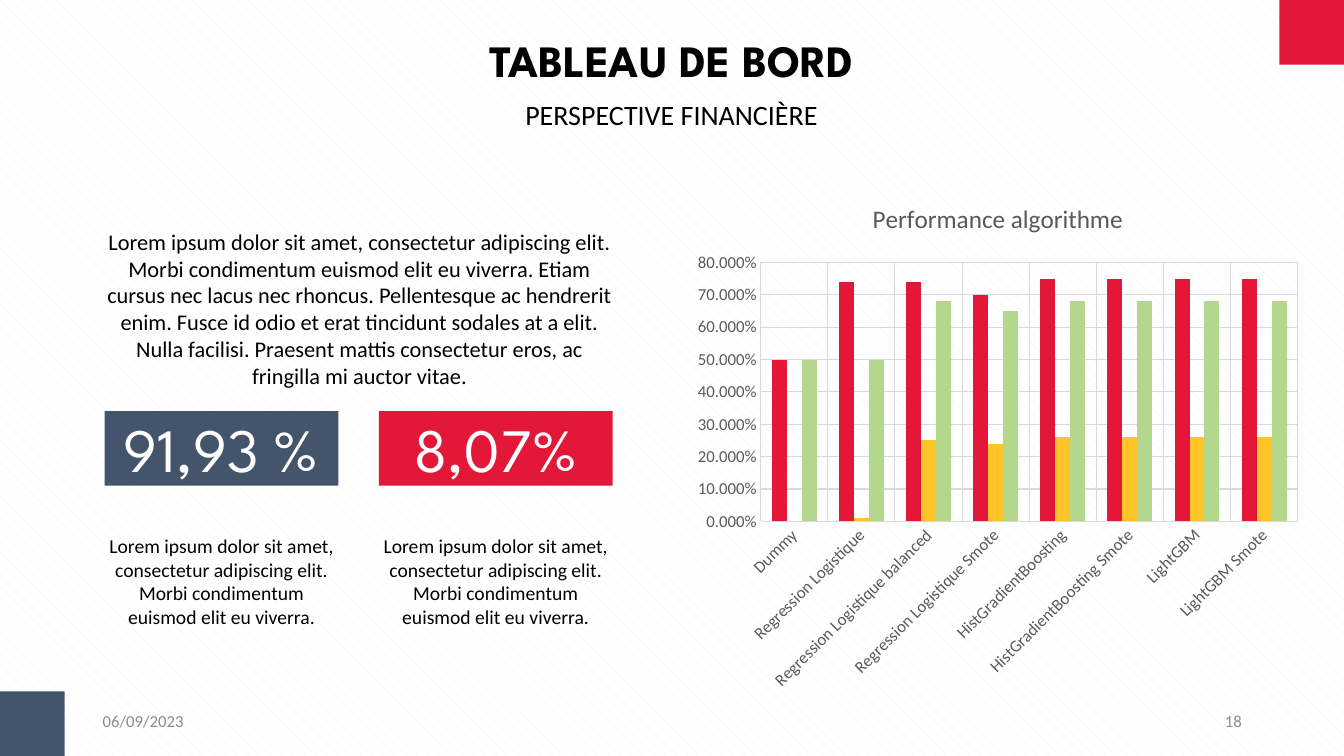
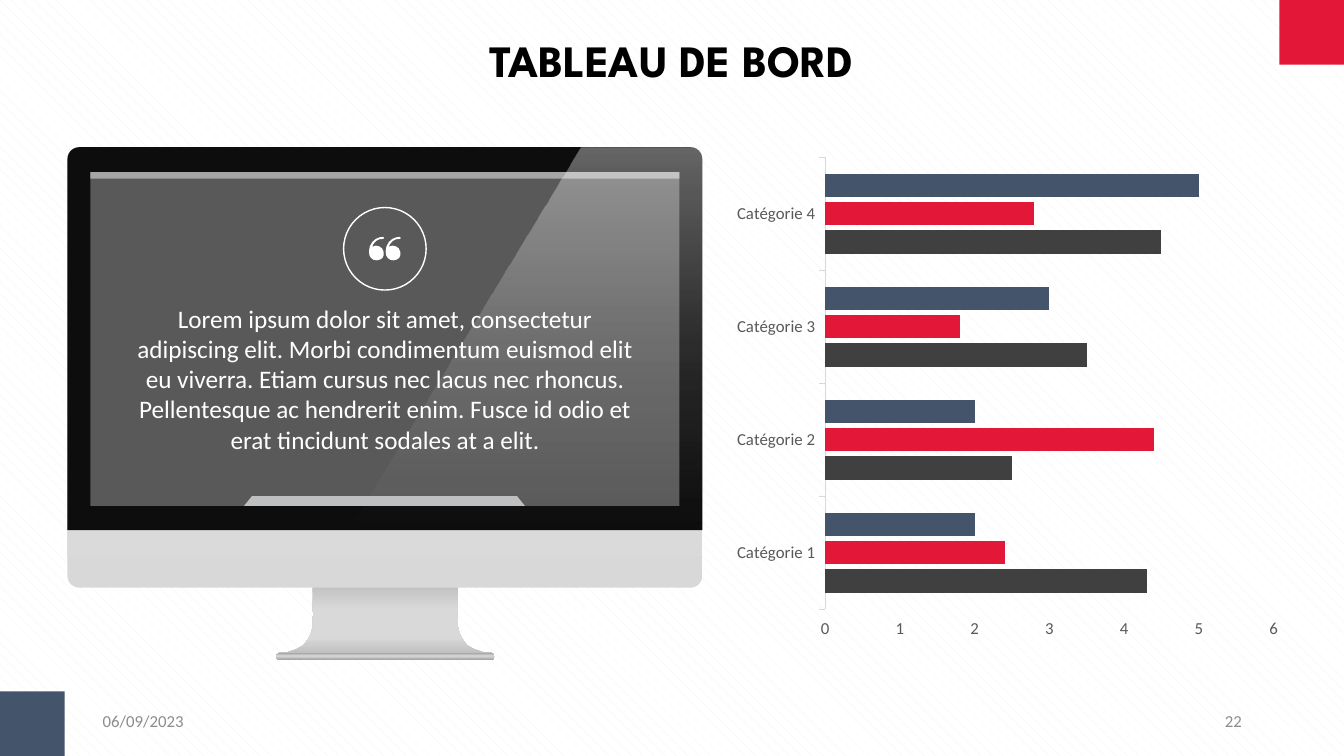
from dataclasses import dataclass
from math import cos, pi, sin
from typing import NamedTuple, Optional, Sequence

from lxml.etree import SubElement
from pptx import Presentation
from pptx.chart.chart import Chart
from pptx.chart.data import CategoryChartData
from pptx.dml.color import RGBColor
from pptx.enum.chart import XL_CHART_TYPE, XL_TICK_MARK
from pptx.enum.dml import MSO_PATTERN
from pptx.enum.shapes import MSO_SHAPE
from pptx.enum.text import MSO_ANCHOR, MSO_AUTO_SIZE, PP_ALIGN
from pptx.oxml.ns import qn
from pptx.shapes.autoshape import Shape
from pptx.slide import Slide
from pptx.util import Cm, Pt


@dataclass(frozen=True)
class Theme:
    heading_font: str = "League Spartan"
    body_font: str = "Calibri"
    red: str = "E31737"
    navy: str = "44546A"
    amber: str = "FFC427"
    green: str = "B4D78E"
    charcoal: str = "404040"
    black: str = "000000"
    white: str = "FFFFFF"
    hatch: str = "F2F2F2"
    footer: str = "8C8C8C"
    axis_text: str = "595959"
    rule: str = "D9D9D9"
    bezel: str = "0D0D0D"
    screen: str = "595959"
    menu_bar: str = "A6A6A6"
    dock: str = "BDBFC1"
    title_size: int = 32
    subtitle_size: int = 20
    figure_size: int = 44
    quote_size: int = 18
    intro_size: int = 16
    caption_size: int = 14
    small_size: int = 12


THEME = Theme()


class Box(NamedTuple):
    """Left, top, width and height in centimetres."""
    left: float
    top: float
    width: float
    height: float

    def lengths(self) -> tuple[Cm, ...]:
        return tuple(Cm(side) for side in self)


class Style(NamedTuple):
    size: int
    color: str = THEME.black
    font: str = THEME.body_font
    bold: bool = False
    align: PP_ALIGN = PP_ALIGN.CENTER
    anchor: MSO_ANCHOR = MSO_ANCHOR.TOP
    inset: float = 0


class Stop(NamedTuple):
    position: int
    color: str
    opacity: int = 100


class Indicator(NamedTuple):
    figure: str
    color: str
    caption: str


class Series(NamedTuple):
    name: str
    values: tuple[float, ...]
    color: str


Point = tuple[float, float]

WIDTH, HEIGHT, CORNER = 33.87, 19.05, 1.63
DATE = "06/09/2023"
TITLE = "TABLEAU DE BORD"
TITLE_BOX = Box(4.06, 0.81, 25.73, 1.37)
SUBTITLE_BOX = Box(4.06, 2.46, 25.73, 0.86)
TITLE_STYLE = Style(THEME.title_size, font=THEME.heading_font, bold=True, anchor=MSO_ANCHOR.MIDDLE)

SHORT_LOREM = ("Lorem ipsum dolor sit amet, consectetur adipiscing elit. "
               "Morbi condimentum euismod elit eu viverra.")
QUOTE = (SHORT_LOREM + " Etiam cursus nec lacus nec rhoncus. Pellentesque ac hendrerit enim. "
         "Fusce id odio et erat tincidunt sodales at a elit.")
INTRO = QUOTE + " Nulla facilisi. Praesent mattis consectetur eros, ac fringilla mi auctor vitae."

INDICATORS = (Indicator("91,93 %", THEME.navy, SHORT_LOREM),
              Indicator("8,07%", THEME.red, SHORT_LOREM))

ALGORITHMS = ("Dummy", "Regression Logistique", "Regression Logistique balanced",
              "Regression Logistique Smote", "HistGradientBoosting",
              "HistGradientBoosting Smote", "LightGBM", "LightGBM Smote")
SCORES = (
    Series("Series 1", (0.5, 0.74, 0.74, 0.7, 0.75, 0.75, 0.75, 0.75), THEME.red),
    Series("Series 2", (0, 0.01, 0.25, 0.24, 0.26, 0.26, 0.26, 0.26), THEME.amber),
    Series("Series 3", (0.5, 0.5, 0.68, 0.65, 0.68, 0.68, 0.68, 0.68), THEME.green),
)
CATEGORIES = tuple(f"Catégorie {number}" for number in range(1, 5))
RESULTS = (
    Series("Series 1", (4.3, 2.5, 3.5, 4.5), THEME.charcoal),
    Series("Series 2", (2.4, 4.4, 1.8, 2.8), THEME.red),
    Series("Series 3", (2, 2, 3, 5), THEME.navy),
)

MONITOR = Box(1.7, 3.71, 16, 11.1)
MONITOR_RADIUS = 0.3
NECK_CENTER = 9.71
# Half width and height of each point down one side of the neck
NECK_PROFILE: tuple[Point, ...] = (
    (1.83, 14.73), (1.82, 15.5), (1.83, 15.8), (1.88, 15.98), (1.93, 16.08),
    (2.06, 16.26), (2.24, 16.36), (2.44, 16.43), (2.72, 16.46))
QUOTE_MARK: tuple[Point, ...] = (
    (0.36, 0.05), (0.38, 0.03), (0.36, 0), (0.27, 0.01), (0.17, 0.05), (0.08, 0.13),
    (0.02, 0.24), (0, 0.36), (0.01, 0.46), (0.05, 0.53), (0.12, 0.58), (0.2, 0.59),
    (0.28, 0.57), (0.34, 0.53), (0.37, 0.46), (0.37, 0.38), (0.33, 0.29), (0.26, 0.24),
    (0.17, 0.22), (0.08, 0.25), (0.11, 0.18), (0.18, 0.1), (0.26, 0.06))
PANEL_SHADE = (Stop(0, "D8D8D8"), Stop(50, "E5E5E5"), Stop(100, "F2F2F2"))
NECK_SHADE = (Stop(0, "BFBFBF"), Stop(37, "D9D9D9"), Stop(77, "D9D9D9"), Stop(100, "BFBFBF"))
FOOT_SHADE = (Stop(0, "A6A6A6"), Stop(44, "D9D9D9"), Stop(100, "A6A6A6"))
GLARE_SHADE = (Stop(0, "FFFFFF", 36), Stop(50, "FFFFFF", 13), Stop(100, "FFDDDE", 0))


def rgb(color: str) -> RGBColor:
    return RGBColor.from_string(color)


def write(shape: Shape, text: str, style: Style) -> None:
    frame = shape.text_frame
    frame.text = text
    frame.word_wrap = True
    frame.auto_size = MSO_AUTO_SIZE.NONE
    frame.vertical_anchor = style.anchor
    frame.margin_left = frame.margin_right = Cm(style.inset)
    frame.margin_top = frame.margin_bottom = Cm(style.inset / 2)
    paragraph = frame.paragraphs[0]
    paragraph.alignment = style.align
    paragraph.space_before = Pt(0)
    for run in paragraph.runs:
        run.font.name = style.font
        run.font.size = Pt(style.size)
        run.font.bold = style.bold
        run.font.color.rgb = rgb(style.color)


def add_text(slide: Slide, box: Box, text: str, style: Style) -> None:
    write(slide.shapes.add_textbox(*box.lengths()), text, style)


def fill_placeholder(shape: Shape, box: Box, text: str, style: Style) -> None:
    shape.left, shape.top, shape.width, shape.height = box.lengths()
    write(shape, text, style)


def paint(shape: Shape, color: Optional[str] = None) -> Shape:
    """Give a shape a flat fill, or none, without line or shadow."""
    shape.shadow.inherit = False
    shape.line.fill.background()
    if color:
        shape.fill.solid()
        shape.fill.fore_color.rgb = rgb(color)
    else:
        shape.fill.background()
    return shape


def shade(shape: Shape, stops: Sequence[Stop], angle: int = 90) -> None:
    """Give a shape a linear gradient; the angle runs clockwise."""
    paint(shape)
    shape.fill.gradient()
    gradient = shape.element.spPr.find(qn("a:gradFill"))
    stop_list = gradient.find(qn("a:gsLst"))
    for old_stop in list(stop_list):
        stop_list.remove(old_stop)
    for stop in stops:
        entry = SubElement(stop_list, qn("a:gs"), pos=str(stop.position * 1000))
        color = SubElement(entry, qn("a:srgbClr"), val=stop.color)
        if stop.opacity < 100:
            SubElement(color, qn("a:alpha"), val=str(stop.opacity * 1000))
    gradient.find(qn("a:lin")).set("ang", str(angle * 60000))


def add_preset(slide: Slide, box: Box, preset: MSO_SHAPE = MSO_SHAPE.RECTANGLE,
               color: Optional[str] = None, adjustment: Optional[float] = None) -> Shape:
    shape = paint(slide.shapes.add_shape(preset, *box.lengths()), color)
    if adjustment is not None:
        shape.adjustments[0] = adjustment
    return shape


def add_outline(slide: Slide, points: Sequence[Point]) -> Shape:
    corners = [(Cm(x), Cm(y)) for x, y in points]
    builder = slide.shapes.build_freeform(*corners[0])
    builder.add_line_segments(corners[1:], close=True)
    return builder.convert_to_shape()


def add_frame(slide: Slide, number: int) -> None:
    """Add the title, corner squares, date and slide number."""
    fill_placeholder(slide.shapes.title, TITLE_BOX, TITLE, TITLE_STYLE)
    add_preset(slide, Box(WIDTH - CORNER, 0, CORNER, CORNER), color=THEME.red)
    add_preset(slide, Box(0, HEIGHT - CORNER, CORNER, CORNER), color=THEME.navy)
    for left, text, align in ((2.34, DATE, PP_ALIGN.LEFT), (23.93, str(number), PP_ALIGN.RIGHT)):
        add_text(slide, Box(left, 17.65, 7.62, 1.02), text,
                 Style(THEME.small_size, THEME.footer, align=align,
                       anchor=MSO_ANCHOR.MIDDLE, inset=0.25))


def add_clustered_chart(slide: Slide, box: Box, kind: XL_CHART_TYPE, categories: Sequence[str],
                        series: Sequence[Series], gap: int, overlap: int,
                        top: float, step: float) -> Chart:
    data = CategoryChartData()
    data.categories = categories
    for entry in series:
        data.add_series(entry.name, entry.values)
    chart = slide.shapes.add_chart(kind, *box.lengths(), data).chart
    chart.has_legend = chart.has_title = False
    chart.font.name = THEME.body_font
    chart.font.size = Pt(THEME.small_size)
    chart.font.color.rgb = rgb(THEME.axis_text)
    plot = chart.plots[0]
    plot.gap_width, plot.overlap, plot.vary_by_categories = gap, overlap, False
    for drawn, entry in zip(plot.series, series):
        drawn.format.fill.solid()
        drawn.format.fill.fore_color.rgb = rgb(entry.color)
    values, labels = chart.value_axis, chart.category_axis
    values.minimum_scale, values.maximum_scale, values.major_unit = 0, top, step
    values.has_major_gridlines = False
    values.format.line.fill.background()
    labels.format.line.color.rgb = rgb(THEME.rule)
    labels.format.line.width = Pt(0.75)
    return chart


def add_score_chart(slide: Slide) -> None:
    chart = add_clustered_chart(slide, Box(17.27, 4.55, 15.75, 13.11),
                                XL_CHART_TYPE.COLUMN_CLUSTERED, ALGORITHMS, SCORES,
                                gap=150, overlap=0, top=0.8, step=0.1)
    chart.has_title = True
    heading = chart.chart_title.text_frame
    heading.text = "Performance algorithme"
    font = heading.paragraphs[0].runs[0].font
    font.name, font.size, font.bold = THEME.body_font, Pt(THEME.quote_size), False
    font.color.rgb = rgb(THEME.axis_text)
    for axis in (chart.category_axis, chart.value_axis):
        axis.major_tick_mark = XL_TICK_MARK.NONE
        axis.has_major_gridlines = True
        axis.major_gridlines.format.line.color.rgb = rgb(THEME.rule)
        axis.major_gridlines.format.line.width = Pt(0.75)
        axis.tick_labels.font.size = Pt(THEME.small_size)
    chart.value_axis.tick_labels.number_format = "0.000%"
    chart.value_axis.tick_labels.number_format_is_linked = False
    label_body = chart.category_axis._element.find(qn("c:txPr")).find(qn("a:bodyPr"))
    label_body.set("rot", str(-45 * 60000))


def add_monitor(slide: Slide) -> None:
    neck = ([(NECK_CENTER - half, y) for half, y in NECK_PROFILE]
            + [(NECK_CENTER + half, y) for half, y in reversed(NECK_PROFILE)])
    shade(add_outline(slide, neck), NECK_SHADE)
    shade(add_preset(slide, Box(6.96, 16.46, 5.51, 0.16), MSO_SHAPE.ROUNDED_RECTANGLE,
                     adjustment=0.5), FOOT_SHADE)
    shade(add_preset(slide, MONITOR, MSO_SHAPE.ROUNDED_RECTANGLE,
                     adjustment=MONITOR_RADIUS / MONITOR.height), PANEL_SHADE, 270)
    bezel = MONITOR._replace(height=9.65)
    add_preset(slide, bezel, MSO_SHAPE.ROUND_2_SAME_RECTANGLE, THEME.bezel,
               MONITOR_RADIUS / bezel.height)
    screen = Box(2.28, 4.34, 14.84, 8.41)
    add_preset(slide, screen, color=THEME.screen)
    add_preset(slide, screen._replace(height=0.16), color=THEME.menu_bar)
    add_preset(slide, Box(6.15, 12.5, 7.08, 0.25), MSO_SHAPE.TRAPEZOID, THEME.dock, 0.8)
    right = MONITOR.left + MONITOR.width
    turns = [step * pi / 12 for step in range(7)]
    corner = [(right - MONITOR_RADIUS * (1 - sin(turn)),
               MONITOR.top + MONITOR_RADIUS * (1 - cos(turn))) for turn in turns]
    shade(add_outline(slide, [(14.63, MONITOR.top), *corner, (right, 13.18), (8.89, 13.18)]),
          GLARE_SHADE)


def add_quote(slide: Slide) -> None:
    ring = add_preset(slide, Box(8.66, 5.23, 2.08, 2.08), MSO_SHAPE.OVAL)
    ring.line.color.rgb = rgb(THEME.white)
    ring.line.width = Pt(1)
    for left in (9.3, 9.72):
        paint(add_outline(slide, [(left + x, 5.97 + y) for x, y in QUOTE_MARK]), THEME.white)
    add_text(slide, Box(3.23, 7.62, 12.95, 3.84), QUOTE,
             Style(THEME.quote_size, THEME.white, anchor=MSO_ANCHOR.MIDDLE))


def build_financial_slide(slide: Slide) -> None:
    add_frame(slide, 18)
    subtitle = slide.placeholders[1]
    fill_placeholder(subtitle, SUBTITLE_BOX, "PERSPECTIVE FINANCIÈRE", Style(THEME.subtitle_size))
    properties = subtitle.text_frame.paragraphs[0]._p.get_or_add_pPr()
    properties.set("marL", "0")
    properties.set("indent", "0")
    SubElement(properties, qn("a:buNone"))
    add_text(slide, Box(2.67, 5.74, 12.78, 4.11), INTRO, Style(THEME.intro_size))
    for column, indicator in enumerate(INDICATORS):
        tile = Box(2.64 + 6.91 * column, 10.36, 5.89, 1.88)
        write(add_preset(slide, tile, color=indicator.color), indicator.figure,
              Style(THEME.figure_size, THEME.white, THEME.heading_font))
        add_text(slide, tile._replace(top=13.46, height=2.39), indicator.caption,
                 Style(THEME.caption_size))
    add_score_chart(slide)


def build_monitor_slide(slide: Slide) -> None:
    add_frame(slide, 22)
    add_monitor(slide)
    add_quote(slide)
    add_clustered_chart(slide, Box(18.29, 3.71, 14.2, 12.65), XL_CHART_TYPE.BAR_CLUSTERED,
                        CATEGORIES, RESULTS, gap=141, overlap=-20, top=6, step=1)


def main() -> None:
    deck = Presentation()
    deck.slide_width, deck.slide_height = Cm(WIDTH), Cm(HEIGHT)
    backdrop = deck.slide_master.background.fill
    backdrop.patterned()
    backdrop.pattern = MSO_PATTERN.SHINGLE
    backdrop.fore_color.rgb = rgb(THEME.hatch)
    backdrop.back_color.rgb = rgb(THEME.white)
    build_financial_slide(deck.slides.add_slide(deck.slide_layouts.get_by_name("Title and Content")))
    build_monitor_slide(deck.slides.add_slide(deck.slide_layouts.get_by_name("Title Only")))
    deck.save("out.pptx")


if __name__ == "__main__":
    main()
